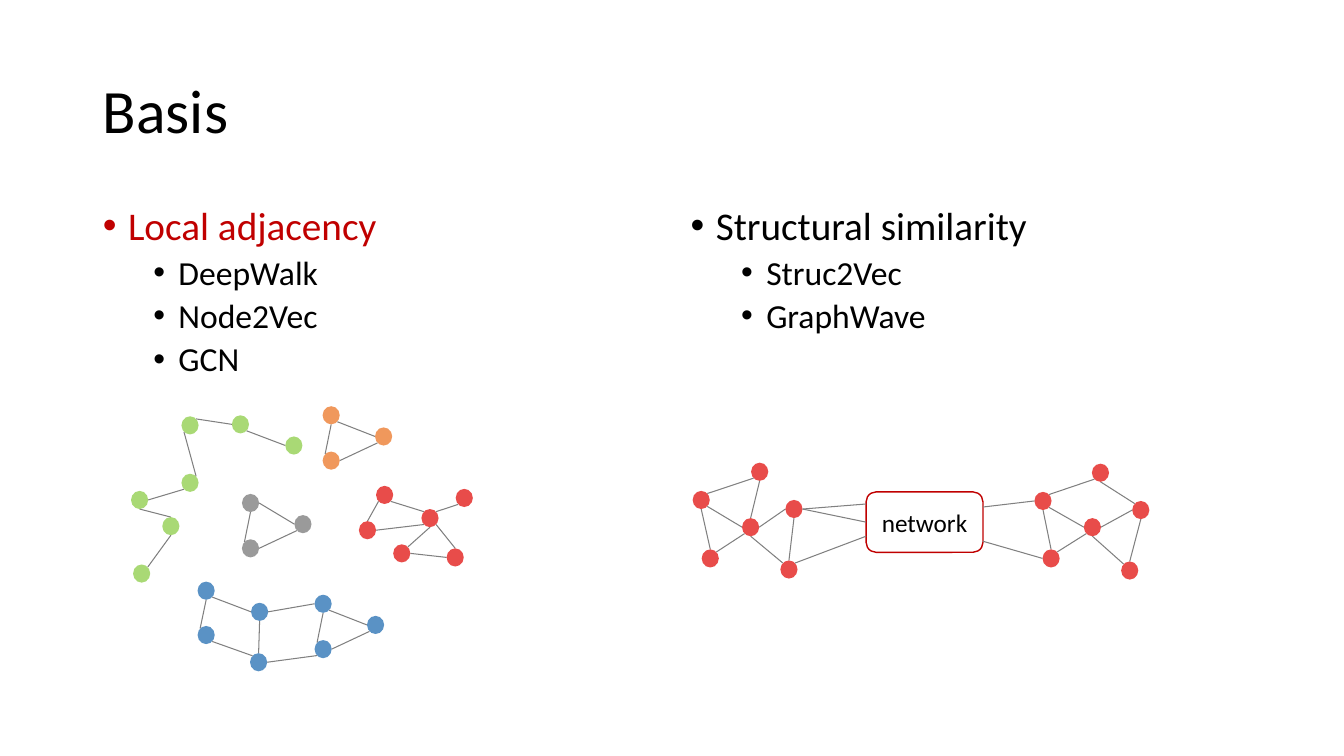
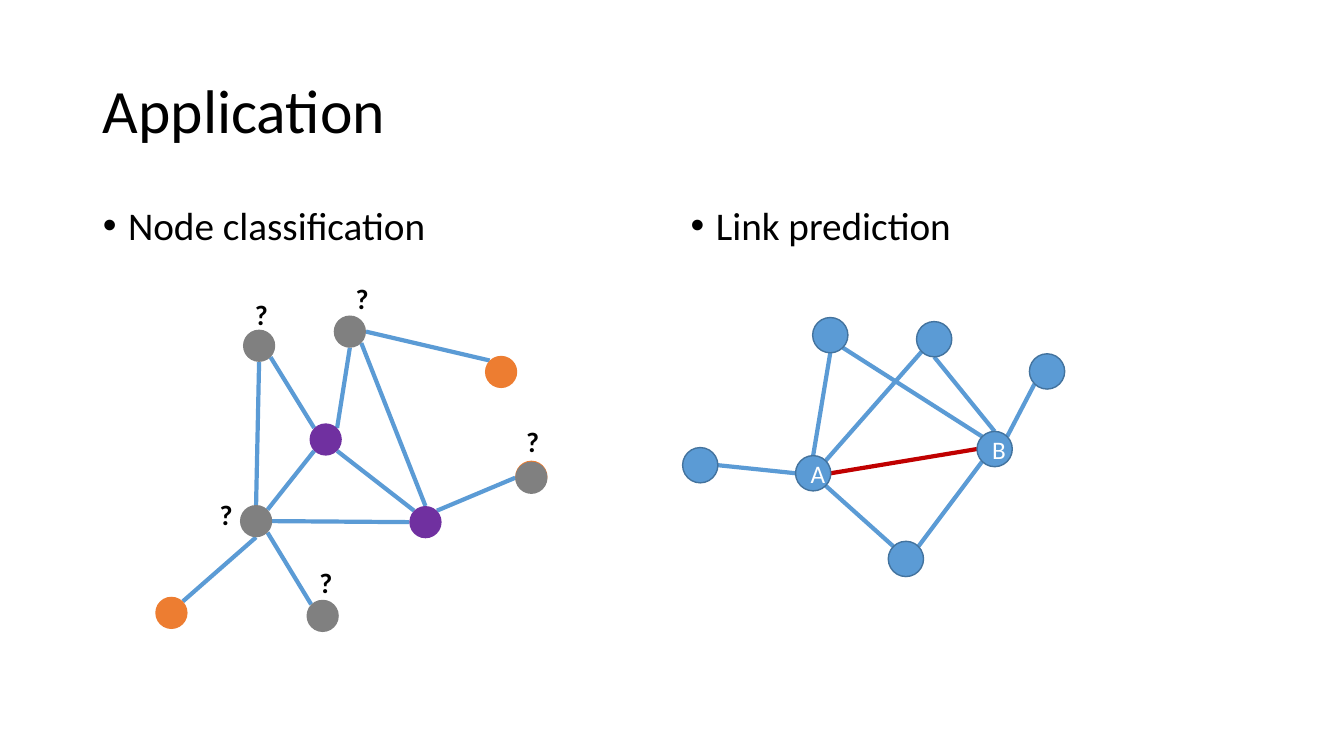
from lxml.etree import SubElement
from pptx import Presentation
from pptx.dml.color import RGBColor
from pptx.enum.shapes import MSO_CONNECTOR as Connector, MSO_SHAPE as Shape
from pptx.enum.text import MSO_ANCHOR as Anchor, MSO_AUTO_SIZE as AutoSize, PP_ALIGN as Align
from pptx.oxml.ns import qn
from pptx.util import Inches, Pt

COLOURS = {
    "black": "000000", "white": "FFFFFF", "crimson": "C00000", "red": "E31D1A",
    "orange": "ED7D31", "grey": "808080", "navy": "2E75B6", "green": "92D050",
    "purple": "7030A0", "blue": "5B9BD5", "rim": "43739E",
}
DIAGONAL = 0.71
SITES = {
    "n": (0, -1), "s": (0, 1), "w": (-1, 0), "e": (1, 0),
    "nw": (-DIAGONAL, -DIAGONAL), "ne": (DIAGONAL, -DIAGONAL),
    "sw": (-DIAGONAL, DIAGONAL), "se": (DIAGONAL, DIAGONAL),
}
SMALL = {"size": (0.17, 0.18), "alpha": 79, "edge": ("grey", 0.75)}
MEDIUM = {"size": (0.32, 0.32), "edge": ("blue", 3)}
LARGE = {"size": (0.35, 0.35), "rim": "rim", "edge": ("blue", 3)}


def colour(name):
    """Return the named colour."""
    return RGBColor.from_string(COLOURS[name])


def assign(target, values):
    """Set every attribute in the dict on the target."""
    for name, value in values.items():
        setattr(target, name, value)


class Board:
    """Holds the deck, the shared style and the current page."""

    def __init__(self):
        """Start a wide deck."""
        self.deck = Presentation()
        assign(self.deck, {"slide_width": Inches(13.33), "slide_height": Inches(7.5)})

    def place(self, box, left, top, width, height):
        """Move and size a box in inches."""
        assign(box, {"left": Inches(left), "top": Inches(top),
                     "width": Inches(width), "height": Inches(height)})

    def add_span(self, para, text, size, ink="black", bold=False):
        """Add one formatted span to a paragraph."""
        span = para.add_run()
        span.text = text
        assign(span.font, {"name": "Calibri", "size": Pt(size), "bold": bold})
        span.font.color.rgb = colour(ink)

    def page(self, title, *columns):
        """Add a page with a title and two bulleted columns."""
        self.slide = self.deck.slides.add_slide(self.deck.slide_layouts[3])
        heading, *bodies = self.slide.placeholders
        self.place(heading, 0.92, 0.4, 11.5, 1.45)
        assign(heading.text_frame, {"vertical_anchor": Anchor.MIDDLE, "auto_size": AutoSize.NONE})
        para = heading.text_frame.paragraphs[0]
        assign(para, {"alignment": Align.LEFT, "line_spacing": 0.9})
        self.add_span(para, title, 44)
        for body, left, column in zip(bodies, (0.92, 6.75), columns):
            self.place(body, left, 2, 5.67, 4.76)
            self.bullets(body.text_frame, *column)

    def bullets(self, frame, ink, head, *items):
        """Fill a frame with a head bullet and its smaller sub-bullets."""
        frame.auto_size = AutoSize.NONE
        for index, text in enumerate((head, *items)):
            para = frame.add_paragraph() if index else frame.paragraphs[0]
            level = min(index, 1)
            assign(para, {"level": level, "line_spacing": 0.9, "space_before": Pt(5 if level else 10)})
            properties = para._p.get_or_add_pPr()
            properties.set("marL", str(Inches(0.25 + 0.5 * level)))
            properties.set("indent", str(Inches(-0.25)))
            SubElement(properties, qn("a:buFont"), typeface="Arial")
            SubElement(properties, qn("a:buChar"), char="•")
            self.add_span(para, text, 24 if level else 28, "black" if level else ink)

    def shape(self, kind, at, fill, rim=None, alpha=None):
        """Add a filled shape, with an outline if a rim is named."""
        box = self.slide.shapes.add_shape(kind, *map(Inches, at))
        box.shadow.inherit = False
        box.fill.solid()
        box.fill.fore_color.rgb = colour(fill)
        if alpha:
            paint = box._element.spPr.find(qn("a:solidFill"))[0]
            SubElement(paint, qn("a:alpha"), val=str(alpha * 1000))
        if rim:
            box.line.color.rgb = colour(rim)
            box.line.width = Pt(1)
        else:
            box.line.fill.background()
        return box

    def label(self, box, text, ink):
        """Put centred text in a shape."""
        para = box.text_frame.paragraphs[0]
        para.alignment = Align.CENTER
        self.add_span(para, text, 18, ink)

    def mark(self, left, top):
        """Add a bold question mark."""
        box = self.slide.shapes.add_textbox(*map(Inches, (left, top, 0.33, 0.44)))
        box.text_frame.word_wrap = False
        self.add_span(box.text_frame.paragraphs[0], "?", 20, bold=True)

    def line(self, start, end, ink="grey", weight=0.75):
        """Draw a straight line between two points."""
        link = self.slide.shapes.add_connector(Connector.STRAIGHT, *map(Inches, (*start, *end)))
        link.line.color.rgb = colour(ink)
        link.line.width = Pt(weight)
        SubElement(link._element.spPr, qn("a:effectLst"))

    def graph(self, look, fills, spots, links, accent=""):
        """Draw nodes a, b, c... and links such as ase-bw; return the nodes and a site finder."""
        width, height = look["size"]
        nodes = dict(zip("abcdefghi", spots))

        def site(name):
            """Return the point on a node's rim, such as ase."""
            (left, top), (across, down) = nodes[name[0]], SITES[name[1:]]
            return left + width / 2 * (1 + across), top + height / 2 * (1 + down)

        ink, weight = look["edge"]
        for link in links.split():
            start, end = link.split("-")
            self.line(site(start), site(end), "crimson" if link == accent else ink, weight)
        if isinstance(fills, str):
            fills = [fills] * len(spots)
        boxes = [self.shape(Shape.OVAL, (*spot, width, height), fill, look.get("rim"), look.get("alpha"))
                 for spot, fill in zip(spots, fills)]
        return boxes, site


board = Board()

board.page("Basis", ("crimson", "Local adjacency", "DeepWalk", "Node2Vec", "GCN"),
           ("black", "Structural similarity", "Struc2Vec", "GraphWave"))
COMMUNITIES = [
    ("red", [(3.9, 5.4), (3.73, 4.82), (3.56, 5.17), (4.18, 5.05), (4.52, 4.85), (4.43, 5.44)],
     "bse-dnw ce-dsw ae-fw dse-fn dne-esw cn-bsw ane-ds"),
    ("orange", [(3.2, 4.03), (3.72, 4.24), (3.2, 4.48)], "ase-bw as-cnw bsw-ce"),
    ("grey", [(2.4, 4.9), (2.92, 5.11), (2.4, 5.35)], "ae-bw as-cnw bsw-ce"),
    ("navy", [(1.96, 5.77), (2.49, 5.98), (1.96, 6.21), (3.12, 5.9), (3.64, 6.11), (3.12, 6.35),
              (2.48, 6.48)],
     "ase-bw as-cnw gnw-cse dse-ew ds-fnw esw-fe gn-bs ge-fsw dw-be"),
    ("green", [(2.3, 4.12), (2.83, 4.33), (1.8, 4.13), (1.8, 4.7), (1.3, 4.87), (1.61, 5.13),
               (1.32, 5.6)],
     "ase-bw cne-aw dne-csw ee-dsw fn-es fs-gne"),
]
for community in COMMUNITIES:
    board.graph(SMALL, *community)

MOTIF = "fse-bw bs-dnw dn-es ew-be fne-csw ane-bsw an-fs "
_, left_site = board.graph(
    SMALL, "red", [(6.96, 5.45), (7.36, 5.14), (7.45, 4.59), (7.74, 5.56), (7.79, 4.96), (6.87, 4.87)],
    MOTIF + "cs-bn")
_, right_site = board.graph(
    SMALL, "red", [(10.34, 5.45), (10.75, 5.14), (10.83, 4.6), (11.12, 5.57), (11.23, 4.97), (10.26, 4.88)],
    MOTIF + "cs-enw")
network = board.shape(Shape.ROUNDED_RECTANGLE, (8.59, 4.88, 1.16, 0.6), "white", "crimson")
board.label(network, "network", "black")
for name, height in (("ee", 5), ("ee", 5.18), ("dne", 5.32)):
    board.line(left_site(name), (8.59, height))
for name, height in (("aw", 5.37), ("fw", 5.03)):
    board.line((9.75, height), right_site(name))

board.page("Application", ("black", "Node classification"), ("black", "Link prediction"))
board.shape(Shape.OVAL, (5.11, 4.57, 0.32, 0.32), "orange")
board.graph(
    MEDIUM, ["purple"] * 2 + ["orange"] * 2 + ["grey"] * 5,
    [(3.07, 4.2), (4.06, 5.02), (1.54, 5.92), (4.81, 3.53), (5.11, 4.58), (3.31, 3.13), (2.41, 3.27),
     (2.38, 5.01), (3.04, 5.95)],
    "ase-bnw asw-hne bw-he inw-hse cne-hs hn-gs anw-gse ane-fs bn-fse dnw-fe ew-bne")
for spot in ((2.43, 2.9), (3.43, 2.74), (5.12, 4.16), (3.07, 5.56), (2.08, 4.89)):
    board.mark(*spot)

circles, _ = board.graph(
    LARGE, "blue",
    [(8.06, 3.15), (9.09, 3.19), (7.89, 4.52), (9.69, 4.28), (8.81, 5.37), (6.77, 4.44), (10.21, 3.51)],
    "cn-as dnw-ase cne-bsw dn-bs dne-gsw cw-fe cse-enw dsw-ene ce-dw", accent="ce-dw")
for circle, text in zip(circles[2:4], "AB"):
    board.label(circle, text, "white")

board.deck.save("out.pptx")
